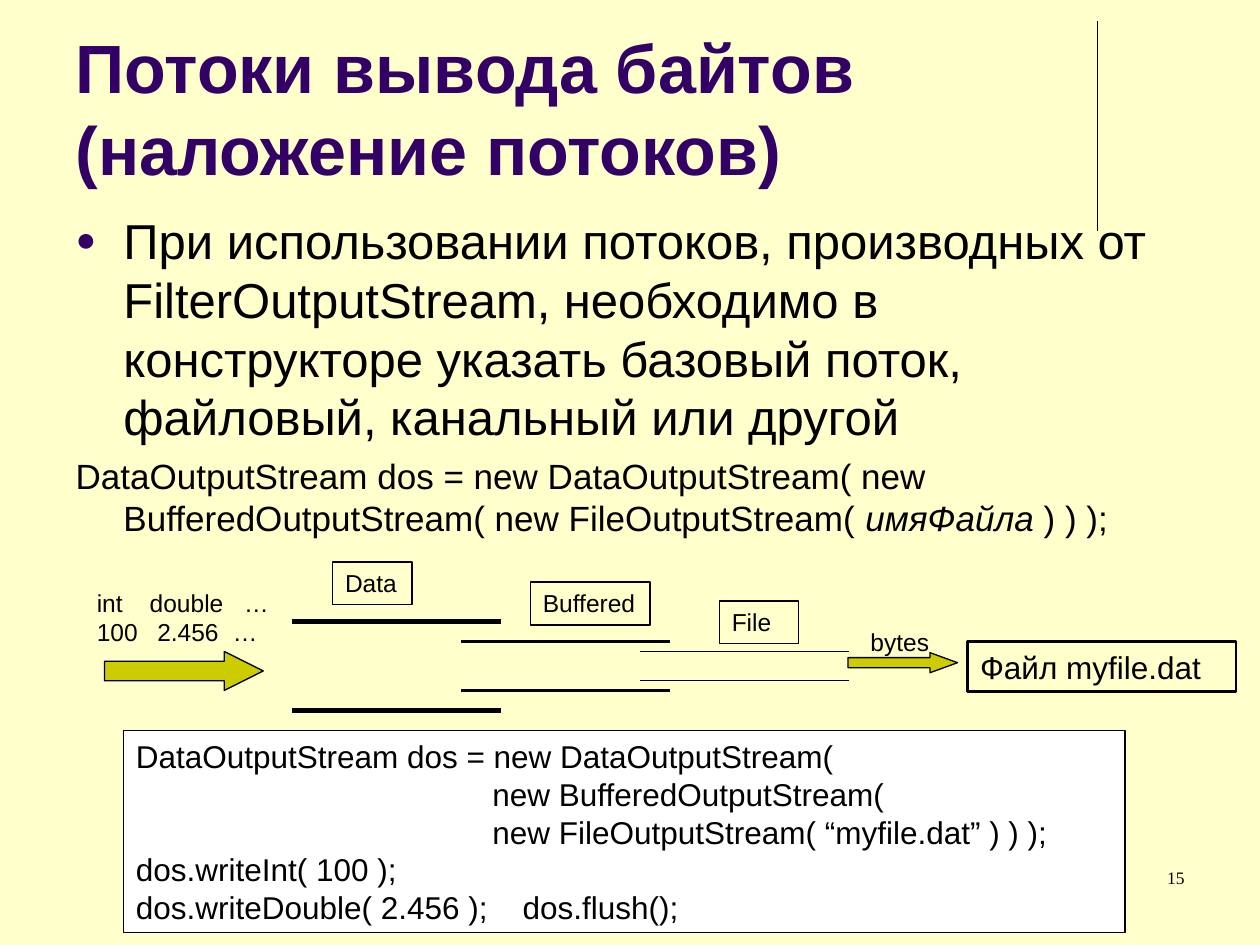
from lxml.etree import SubElement
from pptx import Presentation
from pptx.dml.color import RGBColor
from pptx.enum.shapes import MSO_CONNECTOR, MSO_SHAPE
from pptx.enum.text import MSO_ANCHOR, MSO_AUTO_SIZE, PP_ALIGN
from pptx.oxml.ns import qn
from pptx.util import Inches, Pt

BLACK, PURPLE, OLIVE = "000000", "330066", "CCCC00"
TITLE = "Потоки вывода байтов (наложение потоков)"
BULLET = ("При использовании потоков, производных от FilterOutputStream, "
          "необходимо в конструкторе указать базовый поток, файловый, "
          "канальный или другой")
DECLARATION = [
    ("DataOutputStream dos = new DataOutputStream( new "
     "BufferedOutputStream( new FileOutputStream( ", False),
    ("имяФайла ", True),
    (") ) );", False),
]
CODE = [
    ("DataOutputStream dos = new DataOutputStream(", []),
    ("\tnew BufferedOutputStream(", [2.83]),
    ("\tnew FileOutputStream( “myfile.dat” ) ) );", [2.83]),
    ("dos.writeInt( 100 );", []),
    ("dos.writeDouble( 2.456 );\tdos.flush();", [3.07]),
]
PIPES = [(2.32, 4.93, 5.64, 3), (3.66, 5.09, 5.48, 1.5), (5.08, 5.17, 5.4, 0.75)]
PIPE_LENGTH = 1.66
ARROWS = [((0.83, 5.17, 1.26, 0.31), 1.0), ((6.73, 5.18, 0.87, 0.16), 1.37)]
BOXES = [
    ((7.68, 5.09, 2.13, 0.4), [("Файл myfile.dat", [])], 18, 1.5, None),
    ((2.64, 4.46, 0.63, 0.34), [("Data", [])], 14, 0.75, None),
    ((4.21, 4.62, 0.95, 0.34), [("Buffered", [])], 14, 0.75, None),
    ((5.71, 4.77, 0.63, 0.34), [("File", [])], 14, 0.75, None),
    ((0.98, 5.8, 7.95, 1.6), CODE, 18, 0.75, "FFFFFF"),
]
LABELS = [
    ((0.67, 4.62, 1.73, 0.34), "int\tdouble\t…", [0.42, 1.17]),
    ((0.67, 4.85, 1.73, 0.34), "100\t2.456\t…", [0.48, 1.08]),
    ((6.81, 4.93, 0.79, 0.34), "bytes", []),
]


def color(value):
    return RGBColor.from_string(value)


def add_span(para, text, size, ink=BLACK, font="Arial", bold=False, italic=False):
    span = para.add_run()
    span.text = text
    span.font.name, span.font.size = font, Pt(size)
    span.font.bold, span.font.italic = bold, italic
    span.font.color.rgb = color(ink)


def place(shape, area):
    shape.left, shape.top, shape.width, shape.height = map(Inches, area)


def set_frame(shape, anchor):
    frame = shape.text_frame
    frame.word_wrap = True
    frame.auto_size = MSO_AUTO_SIZE.NONE
    frame.vertical_anchor = anchor
    return frame


def write_lines(shape, lines, size):
    frame = set_frame(shape, MSO_ANCHOR.TOP)
    for number, (text, stops) in enumerate(lines):
        para = frame.add_paragraph() if number else frame.paragraphs[0]
        para.alignment = PP_ALIGN.LEFT
        if stops:
            tabs = SubElement(para._p.get_or_add_pPr(), qn("a:tabLst"))
            for stop in stops:
                SubElement(tabs, qn("a:tab"), pos=str(Inches(stop)), algn="l")
        add_span(para, text, size)


def add_line(page, start, end, width):
    line = page.shapes.add_connector(
        MSO_CONNECTOR.STRAIGHT, *map(Inches, start + end))
    line.line.color.rgb = color(BLACK)
    line.line.width = Pt(width)
    SubElement(line._element.spPr, qn("a:effectLst"))


def add_block(page, kind, area, width, fill):
    shape = page.shapes.add_shape(kind, *map(Inches, area))
    shape.shadow.inherit = False
    if fill:
        shape.fill.solid()
        shape.fill.fore_color.rgb = color(fill)
    else:
        shape.fill.background()
    shape.line.color.rgb = color(BLACK)
    shape.line.width = Pt(width)
    return shape


def hang(para, before):
    para.space_before = Pt(before)
    properties = para._p.get_or_add_pPr()
    properties.set("marL", str(Inches(0.38)))
    properties.set("indent", str(-Inches(0.38)))
    return properties


def fill_placeholders(page):
    title, body = page.shapes.title, page.placeholders[1]
    place(title, (0.5, 0.13, 8.25, 1.42))
    para = set_frame(title, MSO_ANCHOR.BOTTOM).paragraphs[0]
    para.alignment = PP_ALIGN.LEFT
    add_span(para, TITLE, 39, PURPLE, bold=True)

    place(body, (0.5, 1.62, 9, 5.08))
    frame = set_frame(body, MSO_ANCHOR.TOP)
    para = frame.paragraphs[0]
    properties = hang(para, 0)
    tint = SubElement(properties, qn("a:buClr"))
    SubElement(tint, qn("a:srgbClr"), val=PURPLE)
    SubElement(properties, qn("a:buSzPct"), val="70000")
    SubElement(properties, qn("a:buChar"), char="●")
    add_span(para, BULLET, 28)
    para = frame.add_paragraph()
    SubElement(hang(para, 5), qn("a:buNone"))
    for text, italic in DECLARATION:
        add_span(para, text, 20, italic=italic)


def main():
    deck = Presentation()
    deck.slide_width, deck.slide_height = Inches(10), Inches(7.5)
    page = deck.slides.add_slide(deck.slide_layouts[1])
    page.background.fill.solid()
    page.background.fill.fore_color.rgb = color("FFFFCC")
    add_line(page, (8.71, 0.17), (8.71, 1.83), 0.75)
    fill_placeholders(page)

    for left, top, bottom, width in PIPES:
        for y in (top, bottom):
            add_line(page, (left, y), (left + PIPE_LENGTH, y), width)
    for area, head in ARROWS:
        arrow = add_block(page, MSO_SHAPE.RIGHT_ARROW, area, 0.75, OLIVE)
        arrow.adjustments[1] = head
    for area, lines, size, width, fill in BOXES:
        box = add_block(page, MSO_SHAPE.RECTANGLE, area, width, fill)
        write_lines(box, lines, size)
    for area, text, stops in LABELS:
        box = page.shapes.add_textbox(*map(Inches, area))
        write_lines(box, [(text, stops)], 14)

    number = page.shapes.add_textbox(*map(Inches, (7.17, 6.83, 2.33, 0.5)))
    para = set_frame(number, MSO_ANCHOR.TOP).paragraphs[0]
    para.alignment = PP_ALIGN.RIGHT
    add_span(para, "15", 10, font="Times New Roman")
    deck.save("out.pptx")


if __name__ == "__main__":
    main()
